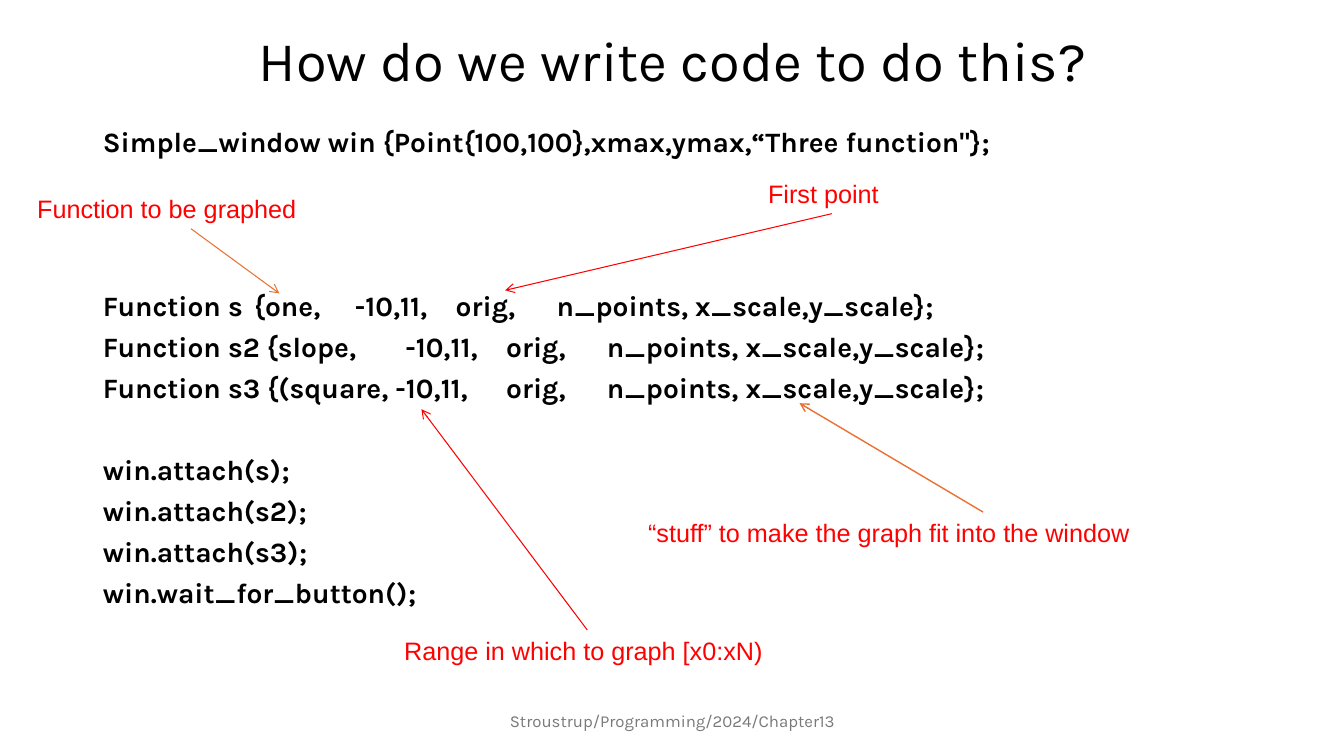
from dataclasses import dataclass
from typing import Optional

import pptx
import pptx.dml.color
import pptx.enum.shapes
import pptx.enum.text
import pptx.oxml.ns
import pptx.slide
import pptx.text.text
import pptx.util
from lxml import etree

Inches = pptx.util.Inches
Pt = pptx.util.Pt
RGBColor = pptx.dml.color.RGBColor
PP_ALIGN = pptx.enum.text.PP_ALIGN
MSO_ANCHOR = pptx.enum.text.MSO_ANCHOR
qn = pptx.oxml.ns.qn

BLACK = RGBColor(0x00, 0x00, 0x00)
RED = RGBColor(0xFF, 0x00, 0x00)
ORANGE = RGBColor(0xE9, 0x71, 0x32)
GREY = RGBColor(0x79, 0x79, 0x79)

LINE_GAP = 10
LINE_PITCH = 29.3


@dataclass
class CodeLine:
    text: str
    blank_above: int = 0
    tabs: tuple[float, ...] = ()


@dataclass
class Callout:
    text: str
    box: tuple[float, float, float, float]
    start: tuple[float, float]
    end: tuple[float, float]
    color: RGBColor
    width: float = 0.75
    site: Optional[int] = None


CODE = [
    CodeLine('Simple_window win {Point{100,100},xmax,ymax,“Three function"};'),
    CodeLine("Function s\t{one,\t-10,11,\torig,\tn_points, x_scale,y_scale};",
             3, (1.6, 3.03, 3.95, 4.76)),
    CodeLine("Function s2 {slope,\t-10,11,\torig,\tn_points, x_scale,y_scale};",
             0, (2.93, 3.85, 4.67)),
    CodeLine("Function s3 {(square, -10,11,\torig,\tn_points, x_scale,y_scale};",
             0, (3.82, 4.64)),
    CodeLine("win.attach(s);", 1),
    CodeLine("win.attach(s2);"),
    CodeLine("win.attach(s3);"),
    CodeLine("win.wait_for_button();"),
]

CALLOUTS = [
    Callout("Function to be graphed", (0.27, 1.87, 3.25, 0.4),
            (1.9, 2.27), (2.77, 2.91), ORANGE, site=2),
    Callout("Range in which to graph [x0:xN)", (3.91, 6.25, 3.83, 0.4),
            (5.83, 6.25), (4.18, 4.06), RED, site=0),
    Callout("“stuff” to make the graph fit into the window", (6.33, 5.08, 5.17, 0.4),
            (9.75, 5.08), (7.93, 4), ORANGE, width=1),
    Callout("First point", (7.52, 1.72, 1.46, 0.4),
            (8.25, 2.12), (5.01, 2.88), RED, site=2),
]


def add_run(p: pptx.text.text._Paragraph, text: str, font: str, size: float,
            color: RGBColor, bold: bool = False) -> None:
    r = p.add_run()
    r.text = text
    r.font.name = font
    r.font.size = Pt(size)
    r.font.color.rgb = color
    r.font.bold = bold


def place(sp, left: float, top: float, width: float, height: float) -> None:
    sp.left, sp.top = Inches(left), Inches(top)
    sp.width, sp.height = Inches(width), Inches(height)
    sp.text_frame.word_wrap = True
    sp.text_frame.auto_size = pptx.enum.text.MSO_AUTO_SIZE.NONE


def add_title(s: pptx.slide.Slide) -> None:
    sp = s.shapes.title
    place(sp, 2.17, 0, 9, 1.25)
    sp.text_frame.vertical_anchor = MSO_ANCHOR.MIDDLE
    p = sp.text_frame.paragraphs[0]
    p.alignment = PP_ALIGN.CENTER
    p.line_spacing = 0.9
    add_run(p, "How do we write code to do this?", "Karla", 40, BLACK)


def add_code(s: pptx.slide.Slide) -> None:
    sp = s.placeholders[1]
    place(sp, 0.92, 1.25, 11.5, 5.51)
    tf = sp.text_frame
    tf.vertical_anchor = MSO_ANCHOR.TOP
    for i, line in enumerate(CODE):
        p = tf.add_paragraph() if i else tf.paragraphs[0]
        p.line_spacing = 0.8
        p.space_before = Pt(LINE_GAP + line.blank_above * LINE_PITCH)
        pPr = p._p.get_or_add_pPr()
        pPr.set("marL", "0")
        pPr.set("indent", "0")
        etree.SubElement(pPr, qn("a:buNone"))
        if line.tabs:
            stops = etree.SubElement(pPr, qn("a:tabLst"))
            for pos in line.tabs:
                etree.SubElement(stops, qn("a:tab"), pos=str(Inches(pos)), algn="l")
        add_run(p, line.text, "Karla", 20, BLACK, True)


def add_callout(s: pptx.slide.Slide, c: Callout) -> None:
    box = s.shapes.add_textbox(*map(Inches, c.box))
    box.text_frame.word_wrap = True
    add_run(box.text_frame.paragraphs[0], c.text, "Arial", 18, RED)
    arrow = s.shapes.add_connector(pptx.enum.shapes.MSO_CONNECTOR.STRAIGHT,
                                   *map(Inches, c.start + c.end))
    if c.site is not None:
        arrow.begin_connect(box, c.site)
    arrow.line.color.rgb = c.color
    arrow.line.width = Pt(c.width)
    etree.SubElement(arrow.line._get_or_add_ln(), qn("a:tailEnd"), type="arrow")
    etree.SubElement(arrow._element.spPr, qn("a:effectLst"))


def add_footer(s: pptx.slide.Slide) -> None:
    sp = s.shapes.add_textbox(*map(Inches, (4.42, 6.95, 4.5, 0.4)))
    tf = sp.text_frame
    tf.word_wrap = True
    tf.vertical_anchor = MSO_ANCHOR.MIDDLE
    p = tf.paragraphs[0]
    p.alignment = PP_ALIGN.CENTER
    add_run(p, "Stroustrup/Programming/2024/Chapter13", "Karla", 12, GREY)


def main() -> None:
    prs = pptx.Presentation()
    prs.slide_width = Inches(13.33)
    prs.slide_height = Inches(7.5)
    s = prs.slides.add_slide(prs.slide_layouts[1])
    add_title(s)
    add_code(s)
    for c in CALLOUTS:
        add_callout(s, c)
    add_footer(s)
    prs.save("out.pptx")


if __name__ == "__main__":
    main()
